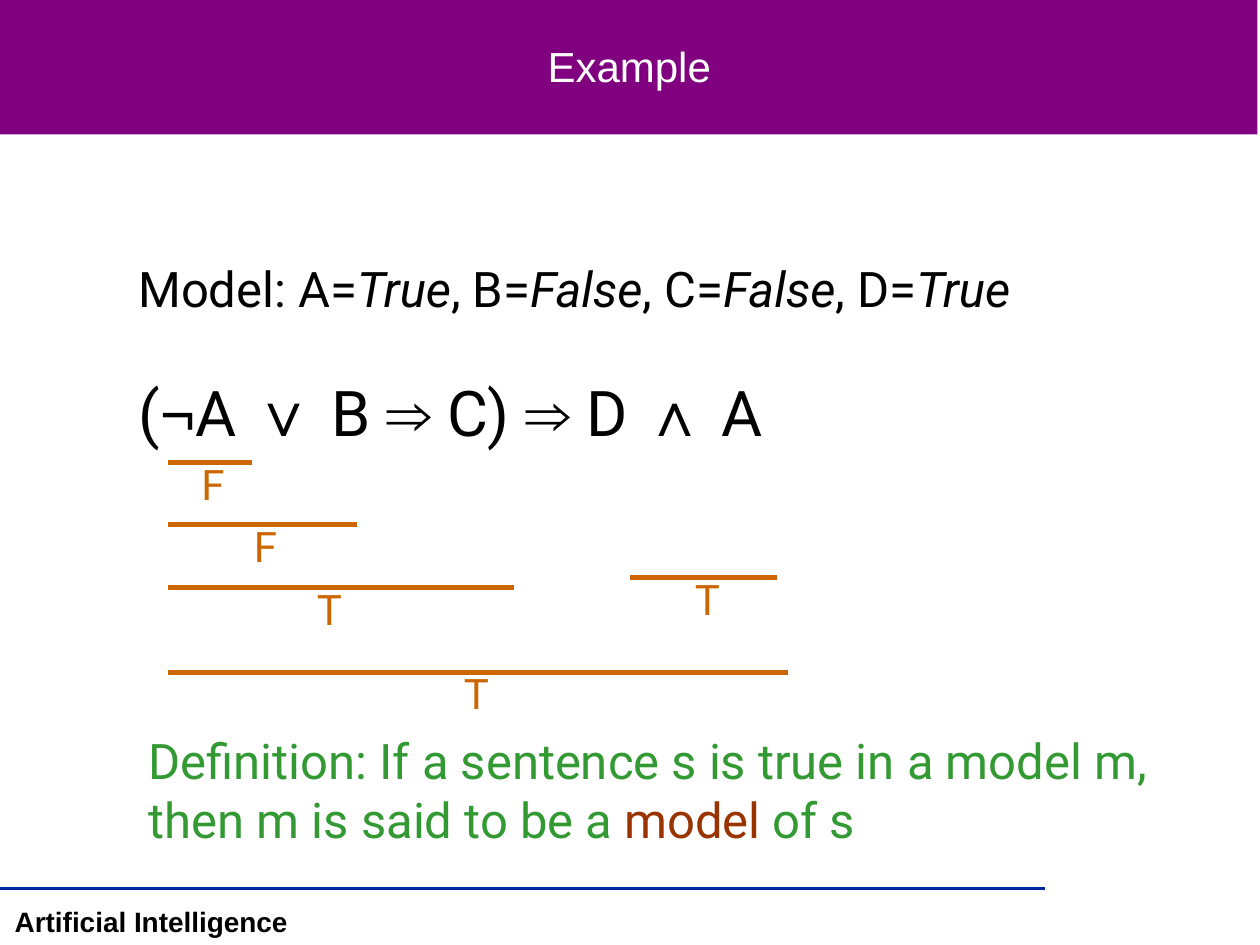
from dataclasses import dataclass
from typing import NamedTuple, Optional

from lxml.etree import SubElement
from pptx import Presentation
from pptx.dml.color import RGBColor
from pptx.enum.shapes import MSO_CONNECTOR, MSO_SHAPE
from pptx.enum.text import MSO_ANCHOR, MSO_AUTO_SIZE, PP_ALIGN
from pptx.oxml.ns import qn
from pptx.util import Cm, Pt


@dataclass(frozen=True)
class Theme:
    banner: str = "800080"
    rule: str = "00279F"
    white: str = "FFFFFF"
    black: str = "000000"
    value: str = "CC6600"
    definition: str = "339933"
    emphasis: str = "993300"
    heading_font: str = "Arial"
    body_font: str = "Roboto"
    symbol_font: str = "Times New Roman"
    footer_size: int = 16
    title_size: int = 24
    value_size: int = 24
    body_size: int = 28
    formula_size: int = 36
    rule_width: int = 2
    value_width: int = 3


THEME = Theme()


class Box(NamedTuple):
    left: float
    top: float
    width: float
    height: float


class Span(NamedTuple):
    text: str
    italic: bool = False
    bold: bool = False
    font: Optional[str] = None
    color: Optional[str] = None


class Evaluation(NamedTuple):
    value: str
    start: float
    end: float
    top: float
    label_left: float
    label_width: float = 1.0


LABEL_RISE = 0.21
LABEL_HEIGHT = 1.27
FORMULA_START = 3.38

EVALUATIONS = [
    Evaluation("F", FORMULA_START, 5.08, 9.32, 3.81, 1.7),
    Evaluation("F", FORMULA_START, 7.19, 10.58, 4.87),
    Evaluation("T", 12.7, 15.67, 11.64, 13.76),
    Evaluation("T", FORMULA_START, 10.37, 11.85, 6.14),
    Evaluation("T", FORMULA_START, 15.88, 13.55, 9.1),
]


def symbol(text: str) -> Span:
    return Span(text, bold=True, font=THEME.symbol_font)


def place(shape, box: Box) -> None:
    shape.left, shape.top, shape.width, shape.height = map(Cm, box)


def write_text(frame, spans: list[Span], *, size: int, color: str,
               font: str = THEME.body_font, align=PP_ALIGN.LEFT,
               wrap: bool = False, auto_size=MSO_AUTO_SIZE.SHAPE_TO_FIT_TEXT,
               anchor=MSO_ANCHOR.TOP) -> None:
    frame.word_wrap = wrap
    frame.auto_size = auto_size
    frame.vertical_anchor = anchor
    paragraph = frame.paragraphs[0]
    paragraph.alignment = align
    for span in spans:
        for index, line in enumerate(span.text.split("\n")):
            if index:
                paragraph.add_line_break()
            run = paragraph.add_run()
            run.text = line
            run.font.size = Pt(size)
            run.font.name = span.font or font
            run.font.bold = span.bold
            run.font.italic = span.italic
            run.font.color.rgb = RGBColor.from_string(span.color or color)


def add_text(slide, box: Box, spans: list[Span], **text_format) -> None:
    shape = slide.shapes.add_textbox(*map(Cm, box))
    write_text(shape.text_frame, spans, **text_format)


def add_line(slide, start: float, end: float, top: float, color: str, width: int) -> None:
    connector = slide.shapes.add_connector(
        MSO_CONNECTOR.STRAIGHT, Cm(start), Cm(top), Cm(end), Cm(top))
    connector.line.color.rgb = RGBColor.from_string(color)
    connector.line.width = Pt(width)
    SubElement(connector.element.spPr, qn("a:effectLst"))


def add_header(slide) -> None:
    banner = slide.shapes.add_shape(MSO_SHAPE.RECTANGLE, 0, 0, Cm(25.35), Cm(2.71))
    banner.shadow.inherit = False
    banner.fill.solid()
    banner.fill.fore_color.rgb = RGBColor.from_string(THEME.banner)
    banner.line.fill.background()
    title = slide.shapes.title
    slide.shapes.element.append(title.element)
    place(title, Box(0.05, 0.03, 25.27, 2.59))
    write_text(title.text_frame, [Span("Example")], size=THEME.title_size,
               color=THEME.white, font=THEME.heading_font, align=PP_ALIGN.CENTER,
               wrap=True, auto_size=MSO_AUTO_SIZE.NONE, anchor=MSO_ANCHOR.MIDDLE)


def add_footer(slide) -> None:
    add_line(slide, 0, 21.06, 17.91, THEME.rule, THEME.rule_width)
    add_text(slide, Box(0, 18.11, 6.1, 0.94), [Span("Artificial Intelligence", bold=True)],
             size=THEME.footer_size, color=THEME.black, font=THEME.heading_font,
             align=PP_ALIGN.CENTER)


def add_evaluation(slide, evaluation: Evaluation) -> None:
    add_line(slide, evaluation.start, evaluation.end, evaluation.top,
             THEME.value, THEME.value_width)
    box = Box(evaluation.label_left, evaluation.top - LABEL_RISE,
              evaluation.label_width, LABEL_HEIGHT)
    add_text(slide, box, [Span(evaluation.value)], size=THEME.value_size, color=THEME.value)


def main() -> None:
    presentation = Presentation()
    presentation.slide_width, presentation.slide_height = Cm(25.4), Cm(19.05)
    slide = presentation.slides.add_slide(presentation.slide_layouts[5])
    add_header(slide)
    add_footer(slide)
    add_text(slide, Box(2.54, 7.41, 13.97, 1.78),
             [Span("("), symbol("¬"), Span("A "), symbol("∨ "), Span("B "), symbol("⇒"),
              Span(" C) "), symbol("⇒"), Span(" D "), symbol("∧"), Span(" A")],
             size=THEME.formula_size, color=THEME.black, wrap=True)
    add_text(slide, Box(2.54, 5.08, 19.35, 1.45),
             [Span("Model: A="), Span("True", italic=True),
              Span(", B="), Span("False", italic=True),
              Span(", C="), Span("False", italic=True),
              Span(", D="), Span("True", italic=True)],
             size=THEME.body_size, color=THEME.black)
    for evaluation in EVALUATIONS:
        add_evaluation(slide, evaluation)
    add_text(slide, Box(2.75, 14.6, 21.43, 2.62),
             [Span("Definition: If a sentence s is true in a model m, \nthen m is said to be a "),
              Span("model", color=THEME.emphasis), Span(" of s")],
             size=THEME.body_size, color=THEME.definition)
    presentation.save("out.pptx")


if __name__ == "__main__":
    main()
